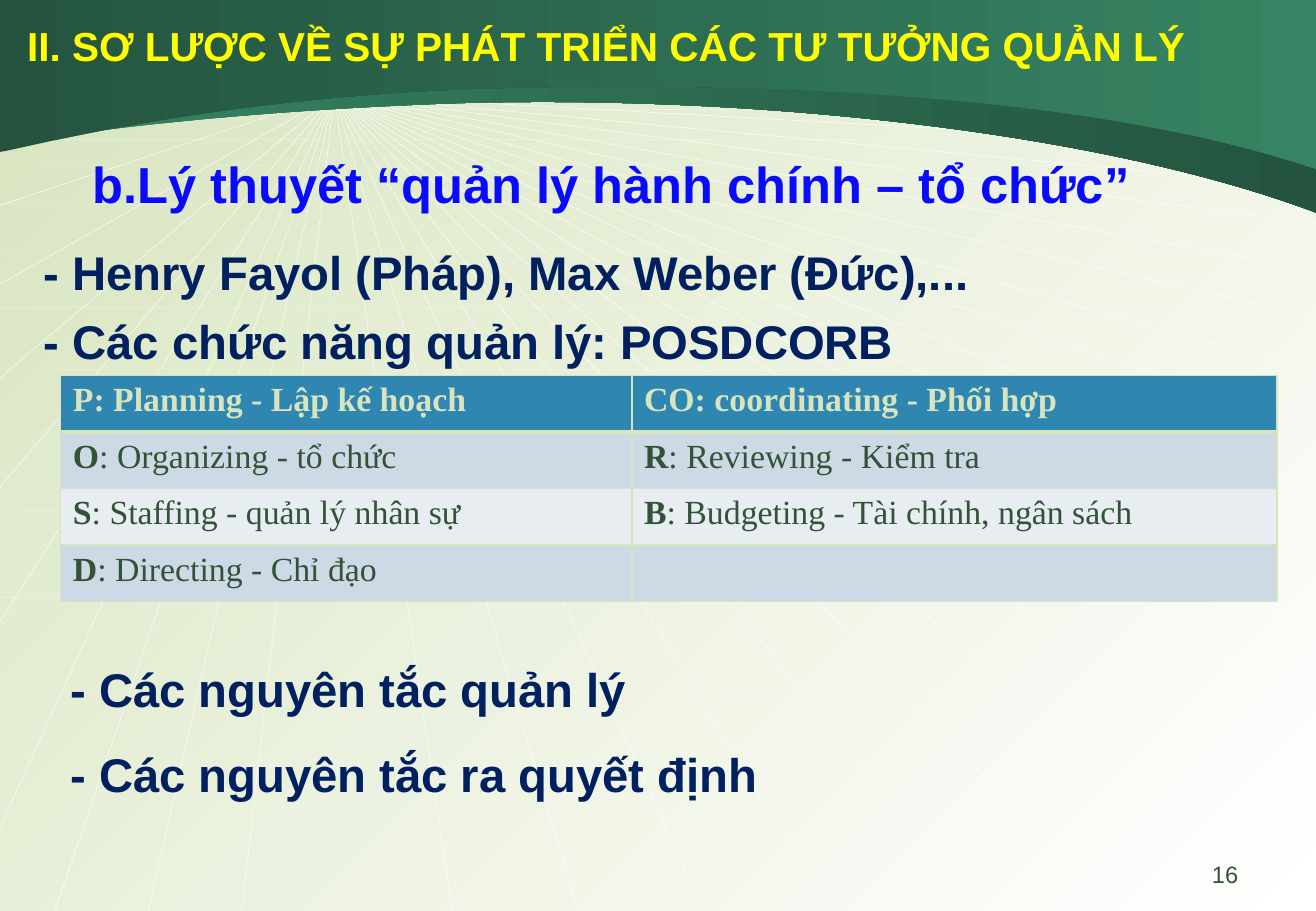
from dataclasses import dataclass

from lxml import etree
from pptx import Presentation
from pptx.dml.color import RGBColor
from pptx.enum.shapes import MSO_CONNECTOR
from pptx.enum.text import MSO_ANCHOR, MSO_AUTO_SIZE, PP_ALIGN
from pptx.oxml.ns import qn
from pptx.util import Inches, Pt

STRAIGHT = MSO_CONNECTOR.STRAIGHT
LEFT, CENTER, RIGHT = PP_ALIGN.LEFT, PP_ALIGN.CENTER, PP_ALIGN.RIGHT
TOP = MSO_ANCHOR.TOP
NO_FIT = MSO_AUTO_SIZE.NONE
TITLE_ONLY = 5

# The slide is laid out on a grid with columns and rows of one inch.
COLUMNS, ROWS = 10.83, 7.5
OUTLINE_UNITS = 1000  # outline units to a column


@dataclass(frozen=True)
class Theme:
    sans: str = "Arial"
    serif: str = "Times New Roman"
    pale: str = "D7E4BE"
    white: str = "FFFFFF"
    forest: str = "24543F"
    green: str = "368463"
    ink: str = "335338"
    yellow: str = "FFFF00"
    blue: str = "0A0AFF"
    navy: str = "002060"
    header: str = "2F86B1"
    stripes: tuple = ("CDD9E4", "E8EDF2")
    title_size: int = 24
    heading_size: int = 30
    point_size: int = 28
    table_size: int = 20
    number_size: int = 14
    ray_width: float = 0.25
    level_ray_opacity: int = 40


THEME = Theme()

TITLE = "II. SƠ LƯỢC VỀ SỰ PHÁT TRIỂN CÁC TƯ TƯỞNG QUẢN LÝ"
HEADING = "b.Lý thuyết “quản lý hành chính – tổ chức”"
POINTS = [
    (0.26, 1.95, "- Henry Fayol (Pháp), Max Weber (Đức),..."),
    (0.26, 2.52, "- Các chức năng quản lý: POSDCORB"),
    (0.48, 5.39, "- Các nguyên tắc quản lý"),
    (0.48, 6.09, "- Các nguyên tắc ra quyết định"),
]
FUNCTIONS = [
    [("P", ": Planning - Lập kế hoạch"), ("CO", ": coordinating - Phối hợp")],
    [("O", ": Organizing - tổ chức"), ("R", ": Reviewing - Kiểm tra")],
    [("S", ": Staffing - quản lý nhân sự"),
     ("B", ": Budgeting - Tài chính, ngân sách")],
    [("D", ": Directing - Chỉ đạo"), None],
]

RAY_HUB = (2.75, 0.78)
RIGHT_RAY_ROWS = [1, 1.23, 1.54, 1.84, 2.22, 2.61, 3.07, 3.53, 4.06, 4.59,
                  5.2, 5.89, 6.8]
BOTTOM_RAY_COLUMNS = [0.45, 1.22, 1.99, 2.75, 3.72, 4.76, 5.79, 6.82, 8,
                      9.16, 10.4]
LEFT_RAY_ROWS = [0.78, 0.97, 1.16, 1.69, 2.34, 3.11, 4.01, 5.12, 6.81]
HORIZON_ROWS = [0.84, 0.9, 0.98, 1.15, 1.36, 1.68, 2.06, 2.53, 3.04, 3.58,
                4.21, 4.92, 5.7]

# Lower edge of each band: two Bézier segments sharing the middle point.
BACK_EDGE = [(0, 1.19), (0.12, 1.18), (1.44, 0.93), (3.76, 0.85),
             (6.08, 0.78), (9, 1.06), (COLUMNS, 1.75)]
FRONT_EDGE = [(0, 1.25), (0.14, 1.24), (1.65, 0.81), (3.95, 0.73),
              (6.25, 0.66), (9, 0.77), (COLUMNS, 1.39)]


def rgb(code):
    return RGBColor.from_string(code)


def set_gradient(fill, start, end, angle):
    fill.gradient()
    fill.gradient_angle = angle
    for stop, code in zip(fill.gradient_stops, (start, end)):
        stop.color.rgb = rgb(code)


def add_ray(slide, start, end):
    """Add a thin ray; level and upright ones are drawn fainter."""
    ray = slide.shapes.add_connector(
        STRAIGHT, *(Inches(value) for value in (*start, *end)))
    ray.line.color.rgb = rgb(THEME.white)
    ray.line.width = Pt(THEME.ray_width)
    properties = ray.element.spPr
    if start[0] == end[0] or start[1] == end[1]:
        color = properties.find(".//" + qn("a:srgbClr"))
        etree.SubElement(color, qn("a:alpha"),
                         val=str(THEME.level_ray_opacity * 1000))
    etree.SubElement(properties, qn("a:effectLst"))


def add_rays(slide):
    ends = [(COLUMNS, row) for row in RIGHT_RAY_ROWS]
    ends += [(column, ROWS) for column in BOTTOM_RAY_COLUMNS]
    ends += [(0, row) for row in LEFT_RAY_ROWS]
    for end in ends:
        add_ray(slide, RAY_HUB, end)
    for row in HORIZON_ROWS:
        add_ray(slide, (0, row), (COLUMNS, row))


def curve_edge(band, edge):
    """Turn the first two straight segments into cubic Bézier curves."""
    segments = band.element.findall(".//" + qn("a:lnTo"))
    for segment, controls in zip(segments, (edge[1:4], edge[4:7])):
        curve = etree.Element(qn("a:cubicBezTo"))
        for x, y in controls:
            etree.SubElement(curve, qn("a:pt"),
                             x=str(round(x * OUTLINE_UNITS)),
                             y=str(round(y * OUTLINE_UNITS)))
        segment.getparent().replace(segment, curve)


def add_band(slide, edge, start, end):
    corners = [edge[0], edge[3], edge[6], (COLUMNS, 0), (0, 0)]
    first, *others = [(round(x * OUTLINE_UNITS), round(y * OUTLINE_UNITS))
                      for x, y in corners]
    builder = slide.shapes.build_freeform(
        *first, scale=Inches(1) / OUTLINE_UNITS)
    builder.add_line_segments(others, close=True)
    band = builder.convert_to_shape()
    curve_edge(band, edge)
    band.shadow.inherit = False
    band.line.fill.background()
    set_gradient(band.fill, start, end, 0)


def add_run(paragraph, text, size, color, bold=False, font=THEME.sans):
    run = paragraph.add_run()
    run.text = text
    run.font.name = font
    run.font.size = Pt(size)
    run.font.bold = bold
    run.font.color.rgb = rgb(color)


def place(holder, column, row, width, height):
    holder.left, holder.top = Inches(column), Inches(row)
    holder.width, holder.height = Inches(width), Inches(height)


def write_line(holder, text, size, color, align=LEFT, bold=True):
    frame = holder.text_frame
    frame.word_wrap = True
    frame.auto_size = NO_FIT
    frame.vertical_anchor = TOP
    paragraph = frame.paragraphs[0]
    paragraph.alignment = align
    add_run(paragraph, text, size, color, bold)


def add_line_of_text(slide, area, *style, **options):
    box = slide.shapes.add_textbox(0, 0, 0, 0)
    place(box, *area)
    write_line(box, *style, **options)


def set_borders(cell, bottom_width):
    properties = cell._tc.get_or_add_tcPr()
    widths = (("lnL", 1), ("lnR", 1), ("lnT", 1), ("lnB", bottom_width))
    for position, (side, width) in enumerate(widths):
        border = etree.Element(qn(f"a:{side}"), w=str(Pt(width)))
        solid = etree.SubElement(border, qn("a:solidFill"))
        etree.SubElement(solid, qn("a:srgbClr"), val=THEME.pale)
        properties.insert(position, border)


def add_functions_table(slide):
    widths, height = (4.7, 5.31), 0.465
    table = slide.shapes.add_table(
        len(FUNCTIONS), len(widths), Inches(0.5), Inches(3.09),
        Inches(sum(widths)), Inches(height * len(FUNCTIONS))).table
    for column, width in zip(table.columns, widths):
        column.width = Inches(width)
    for r, entries in enumerate(FUNCTIONS):
        is_header = r == 0
        color = THEME.pale if is_header else THEME.ink
        fill = THEME.header if is_header else THEME.stripes[(r - 1) % 2]
        for c, entry in enumerate(entries):
            cell = table.cell(r, c)
            cell.fill.solid()
            cell.fill.fore_color.rgb = rgb(fill)
            set_borders(cell, 3 if is_header else 1)
            if entry:
                paragraph = cell.text_frame.paragraphs[0]
                parts = [("".join(entry), True)] if is_header else zip(
                    entry, (True, False))
                for text, bold in parts:
                    add_run(paragraph, text, THEME.table_size, color, bold,
                            THEME.serif)


def main():
    deck = Presentation()
    deck.slide_width, deck.slide_height = Inches(COLUMNS), Inches(ROWS)
    slide = deck.slides.add_slide(deck.slide_layouts[TITLE_ONLY])
    set_gradient(slide.background.fill, THEME.pale, THEME.white, 315)
    add_rays(slide)
    add_band(slide, BACK_EDGE, THEME.green, THEME.forest)
    add_band(slide, FRONT_EDGE, THEME.forest, THEME.green)

    title = slide.shapes.title
    slide.shapes.element.append(title.element)  # in front of the bands
    place(title, 0, 0.12, 9.98, 0.5)
    write_line(title, TITLE, THEME.title_size, THEME.yellow, CENTER)
    add_line_of_text(slide, (0.48, 1.21, 9.11, 0.61), HEADING,
                     THEME.heading_size, THEME.blue, CENTER)
    for column, row, text in POINTS:
        add_line_of_text(slide, (column, row, 10.02, 0.57), text,
                         THEME.point_size, THEME.navy)
    add_functions_table(slide)
    add_line_of_text(slide, (7.76, 7.03, 2.53, 0.35), "16",
                     THEME.number_size, THEME.ink, RIGHT, bold=False)
    deck.save("out.pptx")


if __name__ == "__main__":
    main()
